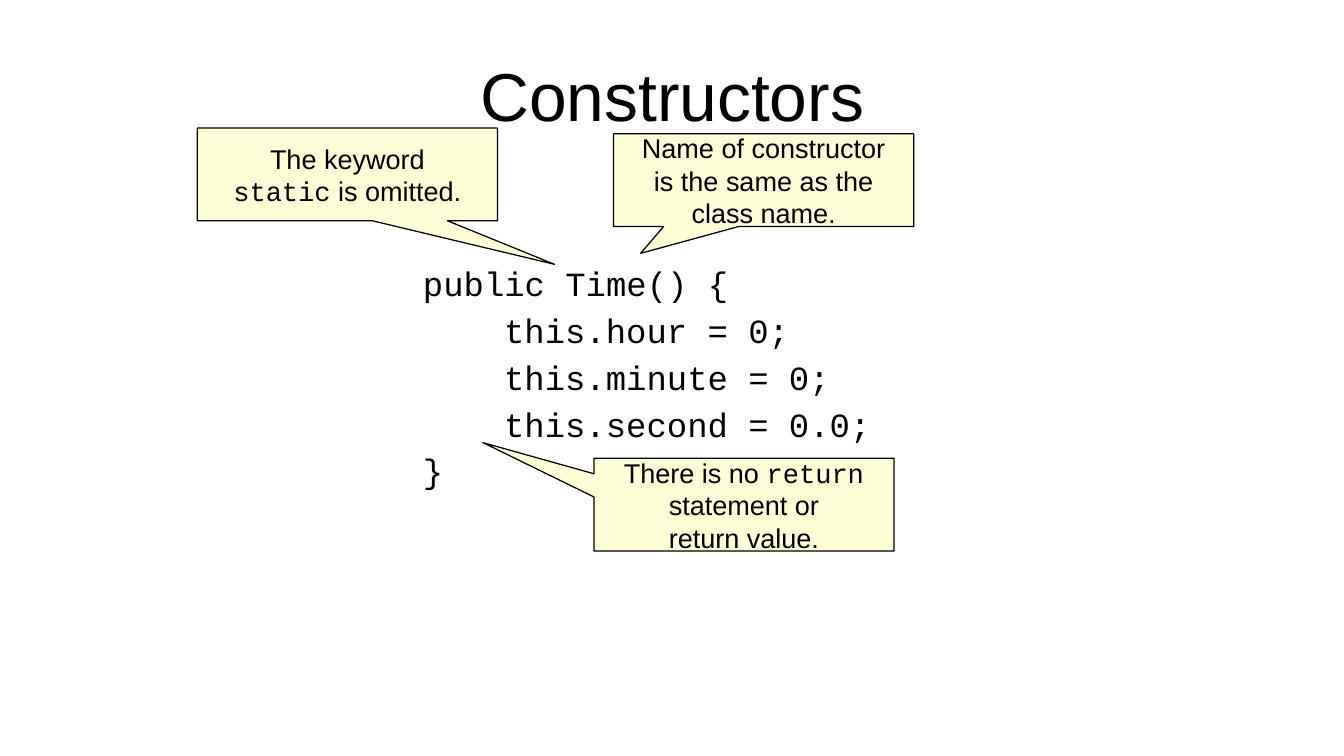
from dataclasses import dataclass
from typing import NamedTuple

from pptx import Presentation
from pptx.dml.color import RGBColor
from pptx.enum.shapes import MSO_SHAPE
from pptx.enum.text import MSO_ANCHOR, MSO_AUTO_SIZE, PP_ALIGN
from pptx.util import Cm, Pt

CALLOUT = MSO_SHAPE.RECTANGULAR_CALLOUT
MIDDLE = MSO_ANCHOR.MIDDLE
CENTER = PP_ALIGN.CENTER
NO_FIT = MSO_AUTO_SIZE.NONE


@dataclass(frozen=True)
class Theme:
    ink: RGBColor = RGBColor(0x00, 0x00, 0x00)
    note: RGBColor = RGBColor(0xFF, 0xFF, 0xD7)
    sans: str = "Arial"
    mono: str = "Courier New"
    title: Pt = Pt(40)
    code: Pt = Pt(20)
    callout: Pt = Pt(16)


THEME = Theme()


class Run(NamedTuple):
    text: str
    font: str = THEME.sans


class Callout(NamedTuple):
    left: float
    top: float
    tip: tuple[float, float]
    lines: list[list[Run]]


class CodeLine(NamedTuple):
    text: str
    level: int = 0


CALLOUT_SIZE = Cm(6.25), Cm(1.93)
CODE_INDENT = Cm(1.69)  # four characters of code

CODE = [
    CodeLine("public Time() {"),
    CodeLine("this.hour = 0;", 1),
    CodeLine("this.minute = 0;", 1),
    CodeLine("this.second = 0.0;", 1),
    CodeLine("}"),
]

CALLOUTS = [
    Callout(12.37, 9.55, (-0.87, -0.67), [
        [Run("There is no "), Run("return", THEME.mono)],
        [Run("statement or")],
        [Run("return value.")],
    ]),
    Callout(12.78, 2.79, (-0.41, 0.79), [
        [Run("Name of constructor")],
        [Run("is the same as the")],
        [Run("class name.")],
    ]),
    Callout(4.11, 2.67, (0.69, 0.97), [
        [Run("The keyword")],
        [Run("static", THEME.mono), Run(" is omitted.")],
    ]),
]


def add_run(p, run: Run, size: Pt) -> None:
    r = p.add_run()
    r.text = run.text
    r.font.name = run.font
    r.font.size = size
    r.font.color.rgb = THEME.ink


def next_paragraph(tf, i: int):
    return tf.add_paragraph() if i else tf.paragraphs[0]


def set_title(s, text: str) -> None:
    sp = s.shapes.title
    sp.left, sp.top, sp.width, sp.height = Cm(1.4), Cm(0.64), Cm(25.2), Cm(2.64)
    tf = sp.text_frame
    tf.auto_size = NO_FIT
    tf.vertical_anchor = MIDDLE
    tf.margin_left = tf.margin_right = tf.margin_top = tf.margin_bottom = 0
    p = tf.paragraphs[0]
    p.alignment = CENTER
    add_run(p, Run(text), THEME.title)


def add_code(s, lines: list[CodeLine]) -> None:
    tf = s.shapes.add_textbox(Cm(8.56), Cm(5.23), Cm(12.6), Cm(4.85)).text_frame
    tf.word_wrap = True
    for i, line in enumerate(lines):
        p = next_paragraph(tf, i)
        p.line_spacing = 1.15
        p._p.get_or_add_pPr().set("marL", str(CODE_INDENT * line.level))
        add_run(p, Run(line.text, THEME.mono), THEME.code)


def add_callout(s, c: Callout) -> None:
    sp = s.shapes.add_shape(CALLOUT, Cm(c.left), Cm(c.top), *CALLOUT_SIZE)
    sp.adjustments[0], sp.adjustments[1] = c.tip
    sp.shadow.inherit = False
    sp.fill.solid()
    sp.fill.fore_color.rgb = THEME.note
    sp.line.color.rgb = THEME.ink
    sp.line.width = Pt(0)
    tf = sp.text_frame
    tf.word_wrap = False
    tf.vertical_anchor = MIDDLE
    for i, runs in enumerate(c.lines):
        p = next_paragraph(tf, i)
        p.alignment = CENTER
        for run in runs:
            add_run(p, run, THEME.callout)


# Slide
prs = Presentation()
prs.slide_width, prs.slide_height = Cm(27.99), Cm(15.75)
s = prs.slides.add_slide(prs.slide_layouts[5])

# Title and code
set_title(s, "Constructors")
add_code(s, CODE)

# Explanations pointing at the code
for callout in CALLOUTS:
    add_callout(s, callout)

prs.save("out.pptx")
